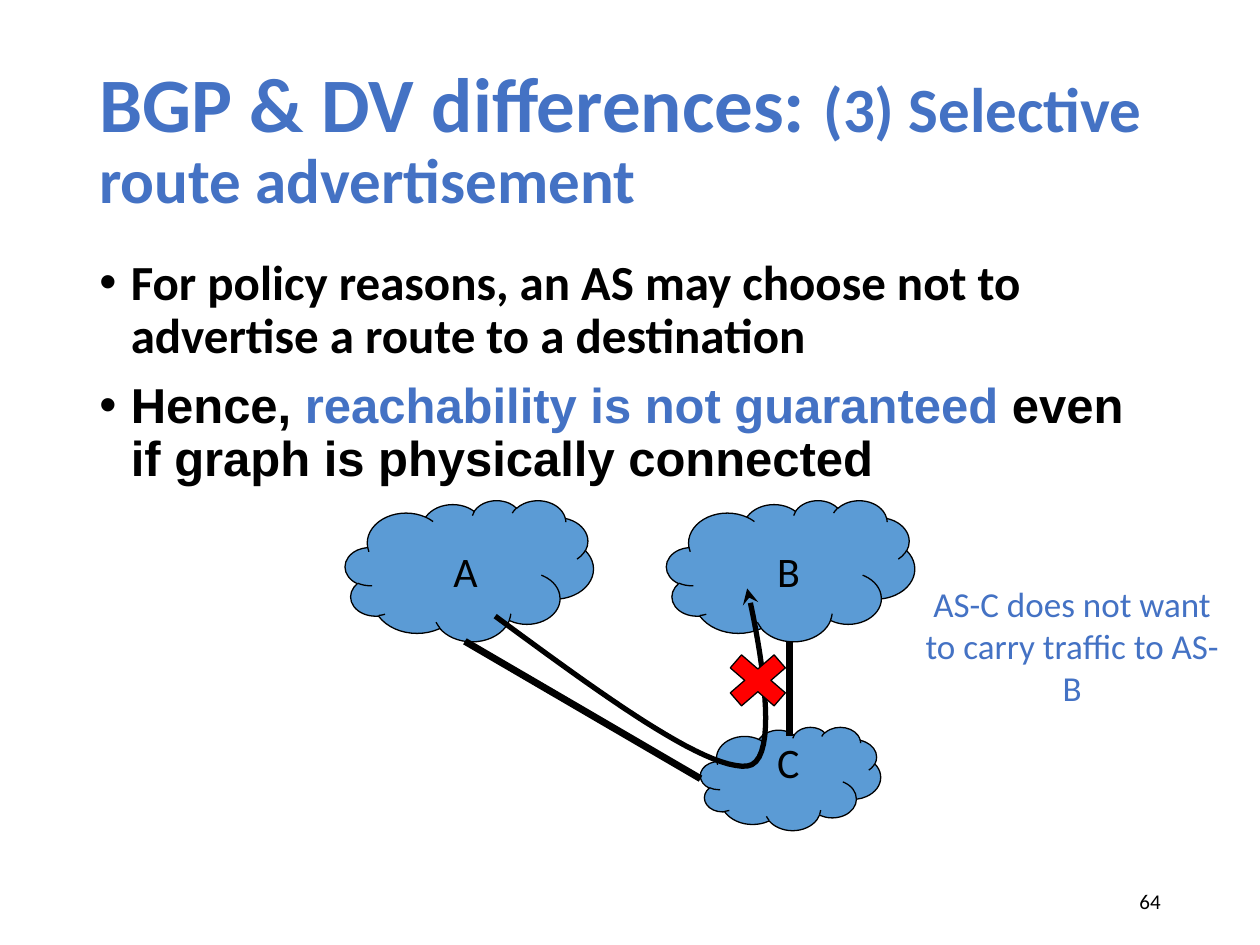
from pptx import Presentation
from pptx.dml.color import RGBColor as RGB
from pptx.enum.shapes import MSO_CONNECTOR as CONN, MSO_SHAPE as SHAPE
from pptx.enum.text import MSO_ANCHOR as ANCHOR, PP_ALIGN as ALIGN
from pptx.oxml.ns import qn
from pptx.util import Inches, Pt
from lxml.etree import SubElement

COLS, ROWS = 100, 75
COLORS = {"accent": "4472C4", "text": "000000", "cloud": "5B9BD5", "cross": "FF0000"}


def bezier(p0, p1, p2, p3, steps=24):
    for i in range(1, steps + 1):
        t = i / steps
        u = 1 - t
        yield tuple(u**3 * a + 3 * u * u * t * b + 3 * u * t * t * c + t**3 * d
                    for a, b, c, d in zip(p0, p1, p2, p3))


class Deck:
    font = "Calibri"

    def __init__(self):
        self.prs = Presentation()
        self.prs.slide_width, self.prs.slide_height = Inches(10), Inches(7.5)
        self.s = self.prs.slides.add_slide(self.prs.slide_layouts[6])

    def grid(self, *lengths):
        units = self.prs.slide_width / COLS, self.prs.slide_height / ROWS
        return [round(n * units[i % 2]) for i, n in enumerate(lengths)]

    def color(self, name):
        return RGB.from_string(COLORS[name])

    def style_run(self, r, size, color="text", bold=False, font=None):
        r.font.name, r.font.size, r.font.bold = font or self.font, Pt(size), bold
        r.font.color.rgb = self.color(color)

    def fill_runs(self, p, runs):
        for text, *style in runs:
            r = p.add_run()
            r.text = text
            self.style_run(r, *style)

    def box(self, at, anchor=ANCHOR.TOP, wrap=True):
        tf = self.s.shapes.add_textbox(*self.grid(*at)).text_frame
        tf.word_wrap, tf.vertical_anchor = wrap, anchor
        return tf

    def title(self, at, runs):
        p = self.box(at, ANCHOR.MIDDLE).paragraphs[0]
        p.line_spacing = 0.9
        self.fill_runs(p, runs)

    def bullets(self, at, items):
        tf = self.box(at)
        for i, runs in enumerate(items):
            p = tf.add_paragraph() if i else tf.paragraphs[0]
            p.line_spacing = 0.9
            p.space_before = Pt(10 if i else 0)
            pPr = p._p.get_or_add_pPr()
            pPr.set("marL", str(Inches(0.25)))
            pPr.set("indent", str(-Inches(0.25)))
            SubElement(pPr, qn("a:buFont")).set("typeface", "Arial")
            SubElement(pPr, qn("a:buChar")).set("char", "•")
            self.fill_runs(p, runs)

    def label(self, at, text, size, color="text", align=ALIGN.LEFT, **frame):
        p = self.box(at, **frame).paragraphs[0]
        p.text, p.alignment = text, align
        self.style_run(p.runs[0], size, color)

    def shape(self, kind, at, fill):
        sp = self.s.shapes.add_shape(kind, *self.grid(*at))
        sp.shadow.inherit = False
        sp.fill.solid()
        sp.fill.fore_color.rgb = self.color(fill)
        self.outline(sp, 0.75)

    def outline(self, sp, width):
        sp.line.color.rgb, sp.line.width = self.color("text"), Pt(width)

    def link(self, start, end):
        cx = self.s.shapes.add_connector(CONN.STRAIGHT, *self.grid(*start, *end))
        self.outline(cx, 4)
        SubElement(cx._element.spPr, qn("a:effectLst"))

    def curved_arrow(self, start, *curves):
        points = [start]
        for controls in curves:
            points += bezier(points[-1], *controls)
        points = [self.grid(*point) for point in points]
        fb = self.s.shapes.build_freeform(*points[0])
        fb.add_line_segments(points[1:], close=False)
        sp = fb.convert_to_shape()
        sp.shadow.inherit = False
        sp.fill.background()
        self.outline(sp, 3)
        SubElement(sp.line._get_or_add_ln(), qn("a:tailEnd")).set("type", "stealth")


def main():
    d = Deck()
    d.title((6.9, 4, 86.2, 14.5), [
        ("BGP & DV differences: ", 44, "accent", True),
        ("(3) Selective route advertisement", 36, "accent", True)])
    d.bullets((6.9, 20, 86.2, 47.6), [
        [("For policy reasons, an AS may choose not to advertise a route to a destination",
          28, "text", True)],
        [("Hence, ", 28, "text", True, "Arial"),
         ("reachability is not guaranteed ", 28, "accent", True, "Arial"),
         ("even if graph is physically connected", 28, "text", True, "Arial")]])

    for at in ((55.6, 57.7, 14.3, 8.2), (52.9, 39.7, 19.7, 11.2), (27.4, 39.7, 19.7, 11.2)):
        d.shape(SHAPE.CLOUD, at, "cloud")
    d.link((36.9, 50.9), (55.6, 61.8))
    d.link((62.7, 50.9), (62.7, 58.4))
    for name, x, y in (("A", 35, 42.8), ("B", 60.7, 42.8), ("C", 60.7, 58)):
        d.label((x, y, 3.9, 5), name, 24, wrap=False)
    d.label((72.1, 45.7, 26, 11.1), "AS-C does not want to carry traffic to AS-B",
            20, "accent", ALIGN.CENTER)

    d.curved_arrow((39.3, 48.9),
                   ((47.6, 55), (55.9, 61.1), (59.3, 60.8)),
                   ((62.6, 60.4), (59.3, 46.7), (59.3, 46.7)))
    d.shape(SHAPE.MATH_MULTIPLY, (56.8, 51.1, 6.7, 5.8), "cross")
    d.label((70.6, 69.5, 22.5, 4), "64", 12, align=ALIGN.RIGHT, anchor=ANCHOR.MIDDLE)
    d.prs.save("out.pptx")


if __name__ == "__main__":
    main()
